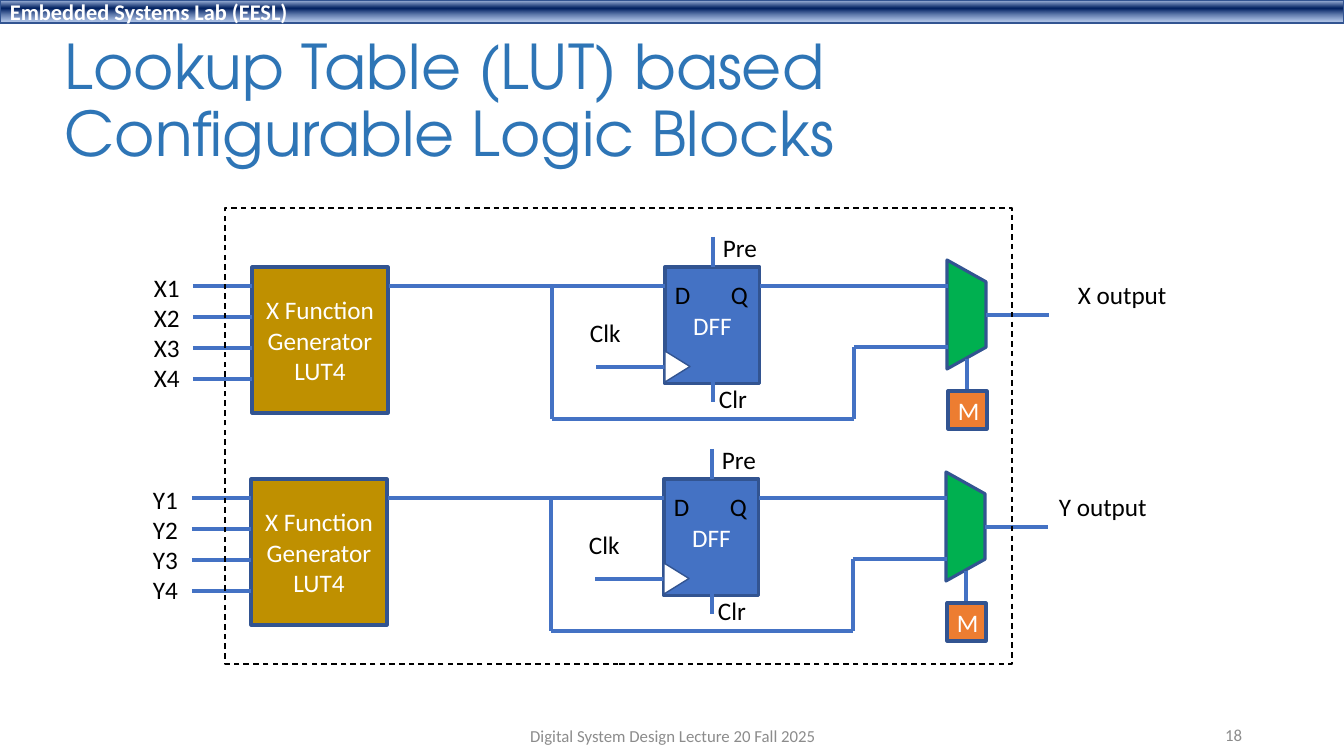
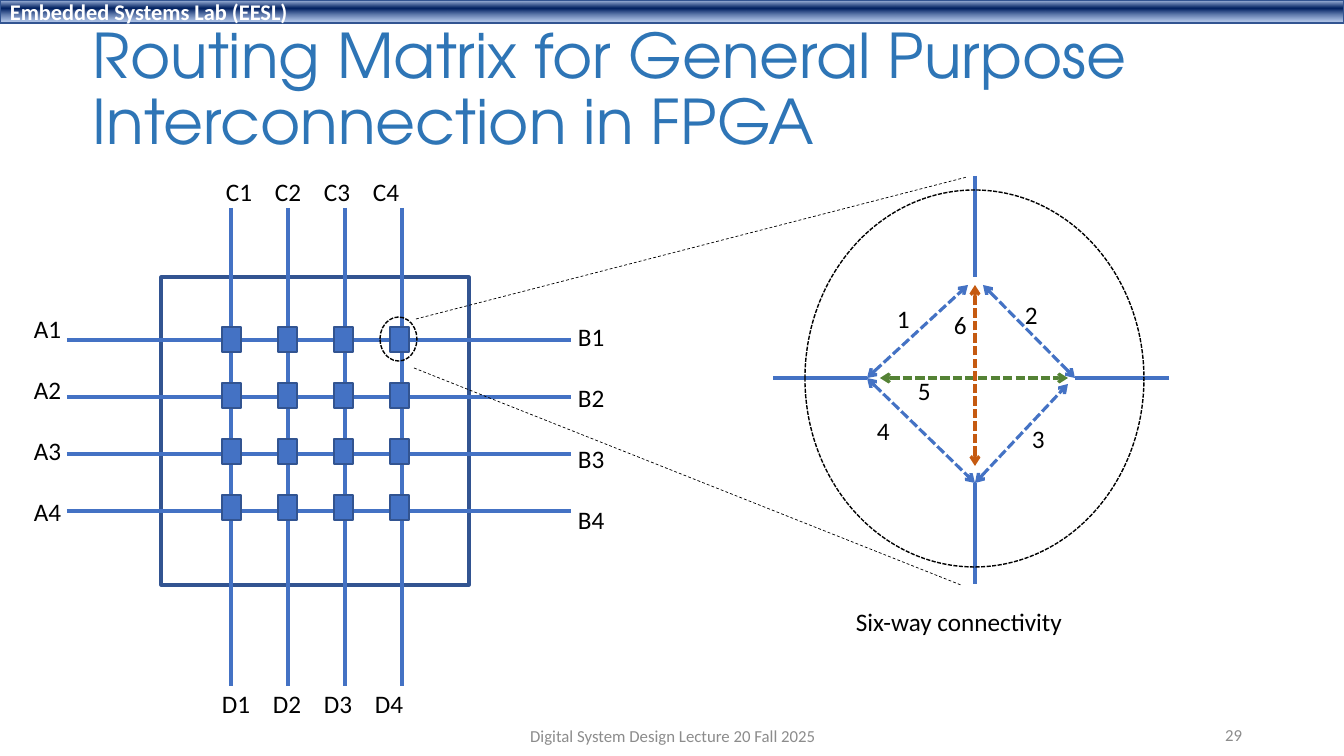
import lxml.etree
import pptx
import pptx.dml.color
import pptx.enum.dml
import pptx.enum.shapes
import pptx.enum.text
import pptx.oxml.ns
import pptx.util

EMU_PER_PX = 914400 / 100.8
SLIDE_WIDTH, SLIDE_HEIGHT = 1344, 756
BODY_FONT, TITLE_FONT = "Calibri", "TeX Gyre Adventor"
COLOURS = {
    "white": "FFFFFF", "black": "000000", "title": "2E75B6", "footer": "8C8C8C",
    "blue": "4472C4", "edge": "325491", "gold": "BF9000", "green": "00B050",
    "orange": "ED7D31", "vertical": "C55A11", "horizontal": "548235",
    "band_top": "ABC0E4", "band_dark": "002060", "band_bottom": "7E9ED6",
}
BAND_STOPS = [("band_top", 2, 100), ("band_dark", 38, 100), ("band_bottom", 93, 64)]

SHAPE = pptx.enum.shapes.MSO_SHAPE
DASH = pptx.enum.dml.MSO_LINE.DASH
SHORT_DASH = pptx.enum.dml.MSO_LINE.SQUARE_DOT
ALIGN = pptx.enum.text.PP_ALIGN
ANCHOR = pptx.enum.text.MSO_ANCHOR
qn = pptx.oxml.ns.qn


# Basic parts
def px(length):
    return pptx.util.Emu(round(length * EMU_PER_PX))


def rgb(name):
    return pptx.dml.color.RGBColor.from_string(COLOURS[name])


def style_line(line, colour, width, dash=None):
    line.color.rgb = rgb(colour)
    line.width = pptx.util.Pt(width)
    if dash is not None:
        line.dash_style = dash


def write(shape, lines, size=18, colour="black", font=BODY_FONT, bold=False,
          align=ALIGN.LEFT, anchor=ANCHOR.TOP, spacing=None, gap=0):
    frame = shape.text_frame
    frame.word_wrap = True
    frame.vertical_anchor = anchor
    for index, text in enumerate(lines):
        paragraph = frame.add_paragraph() if index else frame.paragraphs[0]
        paragraph.alignment = align
        if spacing:
            paragraph.line_spacing = spacing
        if index and gap:
            paragraph.space_before = pptx.util.Pt(gap)
        run = paragraph.add_run()
        run.text = text
        run.font.name = font
        run.font.size = pptx.util.Pt(size)
        run.font.bold = bold
        run.font.color.rgb = rgb(colour)


def add_label(slide, left, top, lines, width=60, height=40, **style):
    box = slide.shapes.add_textbox(px(left), px(top), px(width), px(height))
    write(box, lines, **style)


def add_figure(slide, kind, left, top, width, height, fill=None, edge="edge",
               weight=2.25, dash=None, lines=(), rotation=0):
    shape = slide.shapes.add_shape(kind, px(left), px(top), px(width), px(height))
    shape.shadow.inherit = False
    shape.rotation = rotation
    if fill:
        shape.fill.solid()
        shape.fill.fore_color.rgb = rgb(fill)
    else:
        shape.fill.background()
    style_line(shape.line, edge, weight, dash)
    if lines:
        write(shape, lines, colour="white", align=ALIGN.CENTER, anchor=ANCHOR.MIDDLE)
    return shape


def add_wire(slide, start, end, colour="blue", weight=2.25, dash=None, arrows=False):
    wire = slide.shapes.add_connector(
        pptx.enum.shapes.MSO_CONNECTOR.STRAIGHT,
        px(start[0]), px(start[1]), px(end[0]), px(end[1]))
    style_line(wire.line, colour, weight, dash)
    properties = wire._element.spPr
    if arrows:
        for tag in ("a:headEnd", "a:tailEnd"):
            lxml.etree.SubElement(properties.find(qn("a:ln")), qn(tag), type="arrow")
    lxml.etree.SubElement(properties, qn("a:effectLst"))


# Shared band, title and footer
def add_band(slide):
    band = add_figure(slide, SHAPE.RECTANGLE, 0, 0, SLIDE_WIDTH, 23, weight=1)
    band.fill.gradient()
    band.fill.gradient_angle = 270
    stops = band._element.spPr.find(qn("a:gradFill")).find(qn("a:gsLst"))
    for stop in list(stops):
        stops.remove(stop)
    for name, position, opacity in BAND_STOPS:
        stop = lxml.etree.SubElement(stops, qn("a:gs"), pos=str(position * 1000))
        colour = lxml.etree.SubElement(stop, qn("a:srgbClr"), val=COLOURS[name])
        if opacity < 100:
            lxml.etree.SubElement(colour, qn("a:alpha"), val=str(opacity * 1000))
    write(band, ["Embedded Systems Lab (EESL)"], size=16, colour="white", bold=True,
          anchor=ANCHOR.MIDDLE)


def add_base_slide(presentation, title, title_box, number):
    slide = presentation.slides.add_slide(presentation.slide_layouts[6])
    add_band(slide)
    left, top, width, height = title_box
    add_label(slide, left, top, [title], width, height, size=44, colour="title",
              font=TITLE_FONT, anchor=ANCHOR.MIDDLE, spacing=0.9)
    footer = {"size": 12, "colour": "footer", "anchor": ANCHOR.MIDDLE}
    add_label(slide, 446, 716, ["Digital System Design Lecture 20 Fall 2025"], 454,
              align=ALIGN.CENTER, **footer)
    add_label(slide, 950, 715, [number], 302, align=ALIGN.RIGHT, **footer)
    return slide


# One logic block: lookup table, flip-flop and multiplexer
def add_logic_block(slide, left, top, prefix):
    def at(x, y):
        return left + x, top + y

    add_figure(slide, SHAPE.RECTANGLE, *at(108, 40), 136, 146, "gold",
               lines=["X Function Generator", "LUT4"])
    add_figure(slide, SHAPE.RECTANGLE, *at(521, 40), 95, 117, "blue", lines=["DFF"])
    add_figure(slide, SHAPE.FLOWCHART_MANUAL_OPERATION, *at(768, 68), 109, 39, "green",
               rotation=270)
    wires = [
        ((245, 59), (521, 59)), ((616, 59), (804, 59)),      # data and Q
        ((408, 59), (408, 192)), ((408, 192), (710, 192)),   # bypass
        ((710, 192), (710, 120)), ((710, 120), (804, 120)),
        ((842, 88), (905, 88)), ((823, 132), (823, 171)),    # output and select
        ((521, 140), (452, 140)),                            # clock
        ((569, 10), (569, 40)), ((569, 154), (569, 175)),    # preset and clear
    ]
    wires += [((49, 59 + 31 * row), (108, 59 + 31 * row)) for row in range(4)]
    for start, end in wires:
        add_wire(slide, at(*start), at(*end))
    add_figure(slide, SHAPE.ISOSCELES_TRIANGLE, *at(518, 127), 31, 25, "white",
               weight=1, rotation=90)
    add_figure(slide, SHAPE.RECTANGLE, *at(804, 164), 39, 38, "orange", lines=["M"])
    for text, x, y in [("D", 521, 47), ("Q", 577, 47), ("Clk", 436, 85),
                       ("Pre", 569, 0), ("Clr", 565, 151)]:
        add_label(slide, *at(x, y), [text])
    add_label(slide, *at(0, 40), [f"{prefix}{row}" for row in range(1, 5)], height=132)


def build_logic_slide(presentation):
    slide = add_base_slide(presentation, "Lookup Table (LUT) based Configurable Logic Blocks",
                           (55, 30, 1159, 146), "18")
    for prefix, left, top, output_left in [("X", 144, 227, 1068), ("Y", 143, 439, 1049)]:
        add_logic_block(slide, left, top, prefix)
        add_label(slide, output_left, top + 47, [f"{prefix} output"], 120)
    add_figure(slide, SHAPE.RECTANGLE, 225, 208, 787, 456, edge="black", weight=1, dash=DASH)


# Four by four switch matrix
def add_switch_matrix(slide, left, top):
    add_figure(slide, SHAPE.RECTANGLE, left + 137, top + 106, 308, 308)
    for index in range(4):
        row, column = top + 169 + 57 * index, left + 207 + 57 * index
        add_wire(slide, (left + 43, row), (left + 547, row))
        add_wire(slide, (column, top + 37), (column, top + 515))
        add_label(slide, left + 192 + 49 * index, top, [f"C{index + 1}"])
        add_label(slide, left + 188 + 51 * index, top + 512, [f"D{index + 1}"])
    for row in range(4):
        for column in range(4):
            add_figure(slide, SHAPE.RECTANGLE, left + 198 + 56 * column,
                       top + 156 + 56 * row, 19, 25, "blue", weight=1)
    for prefix, x, y in [("A", 0, 137), ("B", 544, 145)]:
        add_label(slide, left + x, top + y, [f"{prefix}{row}" for row in range(1, 5)],
                  height=224, gap=22)
    add_figure(slide, SHAPE.OVAL, left + 356, top + 146, 37, 44, edge="black",
               weight=1, dash=SHORT_DASH)


# Enlarged view of one switch
def add_switch_detail(slide, left, top):
    def at(x, y):
        return left + x, top + y

    for start, end in [((202, 0), (202, 101)), ((202, 307), (202, 408)),
                       ((94, 202), (0, 202)), ((396, 202), (302, 202))]:
        add_wire(slide, at(*start), at(*end))
    paths = [
        ("1", (114, 122), (94, 202), (195, 109), "blue"),
        ("2", (242, 118), (302, 202), (210, 109), "blue"),
        ("3", (249, 242), (202, 307), (295, 208), "blue"),
        ("4", (94, 234), (94, 202), (202, 307), "blue"),
        ("5", (135, 194), (107, 202), (295, 202), "horizontal"),
        ("6", (171, 128), (202, 290), (202, 109), "vertical"),
    ]
    for number, place, start, end, colour in paths:
        add_wire(slide, at(*start), at(*end), colour, dash=SHORT_DASH, arrows=True)
        add_label(slide, *at(*place), [number])
    add_figure(slide, SHAPE.OVAL, *at(32, 14), 339, 377, edge="black", weight=1,
               dash=SHORT_DASH)
    add_label(slide, *at(73, 425), ["Six-way connectivity"], 240)


def build_routing_slide(presentation):
    slide = add_base_slide(presentation,
                           "Routing Matrix for General Purpose Interconnection in FPGA",
                           (83, 8, 1159, 167), "29")
    add_switch_matrix(slide, 24, 171)
    add_switch_detail(slide, 773, 176)
    for start, end in [((416, 319), (967, 177)), ((414, 368), (961, 585))]:
        add_wire(slide, start, end, "black", 0.5, DASH)


def main():
    presentation = pptx.Presentation()
    presentation.slide_width = px(SLIDE_WIDTH)
    presentation.slide_height = px(SLIDE_HEIGHT)
    build_logic_slide(presentation)
    build_routing_slide(presentation)
    presentation.save("out.pptx")


if __name__ == "__main__":
    main()
